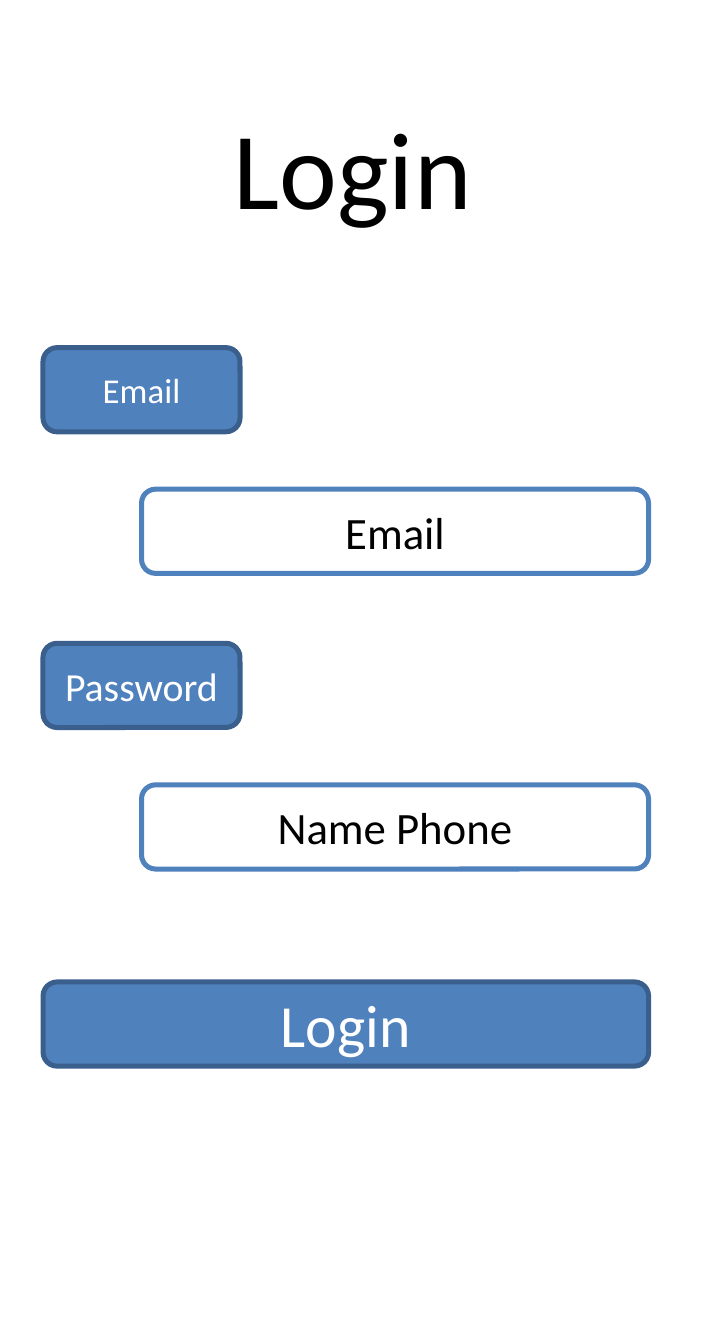
from pptx import Presentation
from pptx.dml.color import RGBColor
from pptx.enum.shapes import MSO_SHAPE
from pptx.enum.text import MSO_ANCHOR, PP_ALIGN
from pptx.util import Inches, Pt

ROUNDED = MSO_SHAPE.ROUNDED_RECTANGLE
MIDDLE = MSO_ANCHOR.MIDDLE
CENTER = PP_ALIGN.CENTER

COLORS = {"blue": "4F81BD", "dark_blue": "3A5F8C", "white": "FFFFFF", "black": "000000"}
SOLID = ("blue", "dark_blue", "white")
OUTLINED = ("white", "blue", "black")
FONT = "Calibri"
ROW_H = 0.47
LABEL_W = 1.1
INPUT_INDENT = 0.55
INPUT_DROP = 0.79


def rgb(name):
    """Return the named colour."""
    return RGBColor.from_string(COLORS[name])


def set_text(s, text, size, color):
    """Put one centred line of text in a shape."""
    tf = s.text_frame
    tf.text = text
    tf.word_wrap = False
    tf.vertical_anchor = MIDDLE
    p = tf.paragraphs[0]
    p.alignment = CENTER
    font = p.runs[0].font
    font.name, font.size = FONT, Pt(size)
    font.color.rgb = rgb(color)


def add_title(slide, text, x, y, w, h):
    """Add the screen heading in the given box."""
    s = slide.shapes.add_textbox(Inches(x), Inches(y), Inches(w), Inches(h))
    set_text(s, text, 44, "black")


def add_box(slide, text, size, style, x, y, w):
    """Add a rounded box one row high in the given style."""
    fill, line, color = style
    s = slide.shapes.add_shape(ROUNDED, Inches(x), Inches(y), Inches(w), Inches(ROW_H))
    s.shadow.inherit = False
    s.fill.solid()
    s.fill.fore_color.rgb = rgb(fill)
    s.line.color.rgb = rgb(line)
    s.line.width = Pt(2)
    set_text(s, text, size, color)


def add_field(slide, label, label_size, value, x, y, w):
    """Add a label with its indented input below, right-aligned to the box."""
    add_box(slide, label, label_size, SOLID, x, y, LABEL_W)
    add_box(slide, value, 18, OUTLINED, x + INPUT_INDENT, y + INPUT_DROP, w - INPUT_INDENT)


def add_login_form(slide, x, y, w):
    """Stack the two fields and the login button."""
    fields = [("Email", 14, "Email"), ("Password", 16, "Name Phone")]
    for i, (label, size, value) in enumerate(fields):
        add_field(slide, label, size, value, x, y + i * 1.65, w)
    add_box(slide, "Login", 24, SOLID, x, y + 3.54, w)


prs = Presentation()
prs.slide_width, prs.slide_height = Inches(3.94), Inches(7.5)
slide = prs.slides.add_slide(prs.slide_layouts[6])
add_title(slide, "Login", 0.2, 0.3, 3.54, 1.25)
add_login_form(slide, 0.24, 1.94, 3.38)
prs.save("out.pptx")
